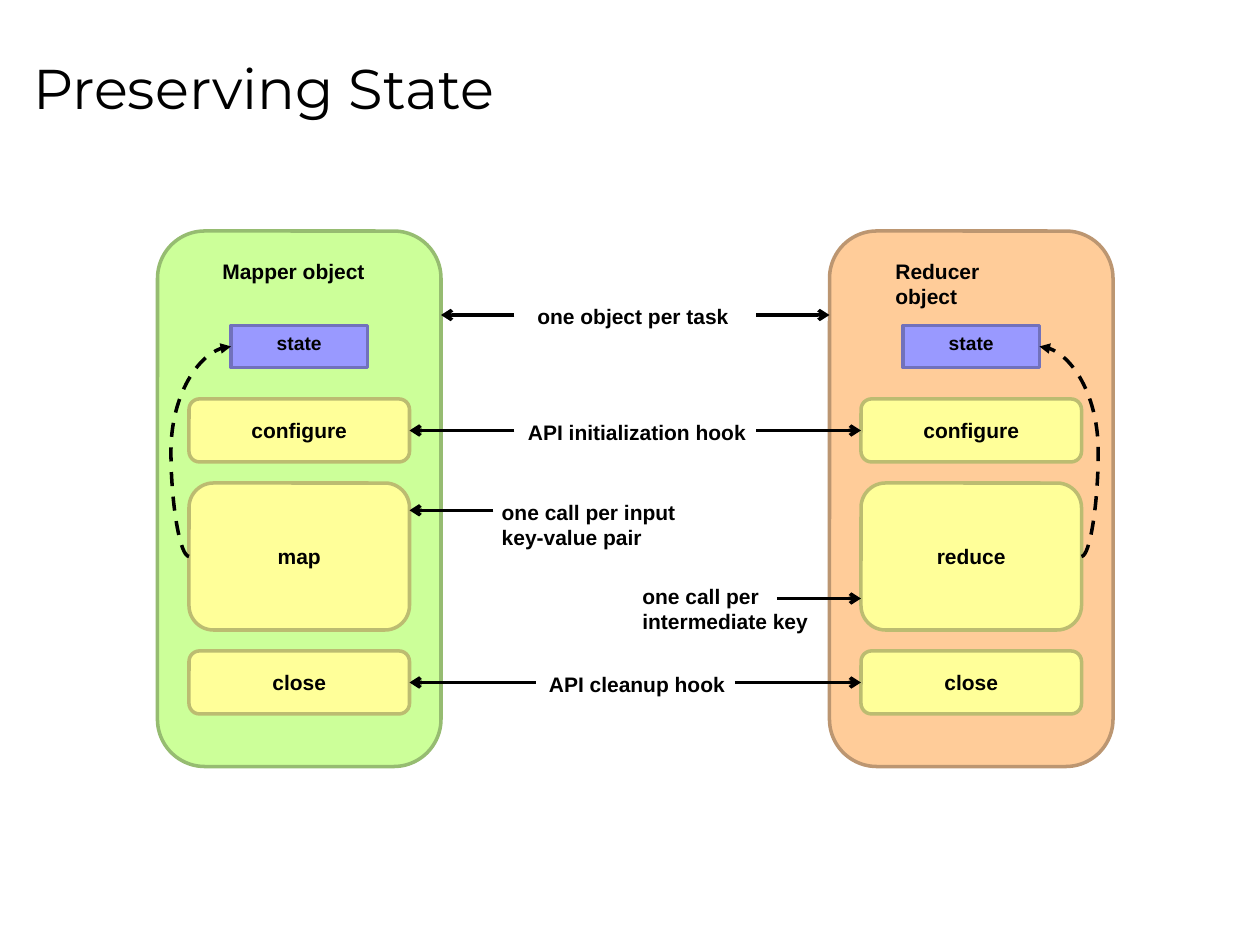
from lxml.etree import SubElement
from pptx import Presentation
from pptx.dml.color import RGBColor
from pptx.enum.dml import MSO_LINE
from pptx.enum.shapes import MSO_CONNECTOR, MSO_SHAPE
from pptx.enum.text import MSO_ANCHOR, PP_ALIGN
from pptx.oxml.ns import qn
from pptx.util import Inches, Pt

BLACK = "000000"
LEFT, RIGHT = 1, 3


def unit(n):
    """Turn grid steps, twelve to the inch, into a length."""
    return Inches(n / 12)


def color(fmt, code):
    """Set a colour format from a hex string."""
    fmt.rgb = RGBColor.from_string(code)


def write(frame, text, size, face="Arial", bold=True, align=PP_ALIGN.LEFT):
    """Fill a frame's first paragraph, one run to a line."""
    para = frame.paragraphs[0]
    para.alignment = align
    for i, part in enumerate(text.split("\n")):
        if i:
            para.add_line_break()
        run = para.add_run()
        run.text = part
        run.font.size, run.font.name, run.font.bold = Pt(size), face, bold
        color(run.font.color, BLACK)


def label(slide, text, x, y, w, h=3.6):
    """Add a bold label that does not wrap."""
    box = slide.shapes.add_textbox(unit(x), unit(y), unit(w), unit(h))
    box.text_frame.word_wrap = False
    write(box.text_frame, text, 12)


def block(slide, kind, area, fill, edge, text="", size=12, anchor=MSO_ANCHOR.MIDDLE):
    """Add a filled and outlined shape with centred text."""
    shape = slide.shapes.add_shape(kind, *map(unit, area))
    shape.shadow.inherit = False
    shape.fill.solid()
    color(shape.fill.fore_color, fill)
    color(shape.line.color, edge)
    shape.line.width = Pt(2)
    if text:
        shape.text_frame.word_wrap = True
        shape.text_frame.vertical_anchor = anchor
        write(shape.text_frame, text, size, align=PP_ALIGN.CENTER)
    return shape


def arrow(slide, start, end, head="arrow", kind=MSO_CONNECTOR.STRAIGHT):
    """Add a black connector with a head at its end."""
    wire = slide.shapes.add_connector(kind, *map(unit, (*start, *end)))
    color(wire.line.color, BLACK)
    wire.line.width = Pt(2)
    SubElement(wire.line._get_or_add_ln(), qn("a:tailEnd"), type=head)
    SubElement(wire._element.spPr, qn("a:effectLst"))
    return wire


def bend(slide, start, end, bulge):
    """Add a dashed curve that swings out by a share of its width."""
    wire = arrow(slide, start, end, "triangle", MSO_CONNECTOR.CURVE)
    wire.line.dash_style = MSO_LINE.DASH
    guides = wire._element.spPr.find(qn("a:prstGeom")).get_or_add_avLst()
    SubElement(guides, qn("a:gd"), name="adj1", fmla=f"val {round(bulge * 100000)}")


def panel(slide, x, name, shift, width, task, fill, edge):
    """Draw one object with its methods and state; return the methods."""
    rounded = MSO_SHAPE.ROUNDED_RECTANGLE
    block(slide, rounded, (x, 22, 27, 51), fill, edge)
    label(slide, name, x + shift, 24, width)
    rows = ("configure", 38, 6), (task, 46, 14), ("close", 62, 6)
    steps = [block(slide, rounded, (x + 3, y, 21, h), "FFFF99", "BCBC71", text)
             for text, y, h in rows]
    block(slide, MSO_SHAPE.RECTANGLE, (x + 7, 31, 13, 4), "9999FF", "7171BC",
          "state", 11, MSO_ANCHOR.TOP)
    return steps


def main():
    """Build and save the slide."""
    deck = Presentation()
    deck.slide_width, deck.slide_height = Inches(10), Inches(7.5)
    slide = deck.slides.add_slide(deck.slide_layouts[6])

    title = slide.shapes.add_textbox(unit(2), unit(1.5), unit(114), unit(13.5))
    title.text_frame.word_wrap = True
    title.text_frame.vertical_anchor = MSO_ANCHOR.MIDDLE
    write(title.text_frame, "Preserving State", 32, "Montserrat", False)

    mapper = panel(slide, 15, "Mapper object", 5, 16, "map", "CCFF99", "96BC71")
    reducer = panel(slide, 79, "Reducer object", 5.1, 16.8, "reduce", "FFCC99", "BC9671")

    arrow(slide, (49, 30), (42, 30))
    arrow(slide, (72, 30), (79, 30))
    label(slide, "one object per task", 50, 28.3, 20.6)

    hooks = (
        ("API initialization hook", 0, 41, 49, 72, 49.1, 23.2),
        ("API cleanup hook", 2, 65, 51, 70, 51.1, 19.2),
    )
    for text, row, y, near, far, x, w in hooks:
        arrow(slide, (near, y), (39, y)).end_connect(mapper[row], RIGHT)
        arrow(slide, (far, y), (82, y)).end_connect(reducer[row], LEFT)
        label(slide, text, x, y - 1.67, w)

    arrow(slide, (47, 48.6), (39, 48.6))
    label(slide, "one call per input \nkey-value pair", 46.6, 47, 19.6, 6)
    arrow(slide, (74, 57), (82, 57))
    label(slide, "one call per \nintermediate key", 60, 55, 18.2, 6)

    bend(slide, (18, 53), (22, 33), -0.43)
    bend(slide, (103, 53), (99, 33), -0.4)
    deck.save("out.pptx")


if __name__ == "__main__":
    main()
